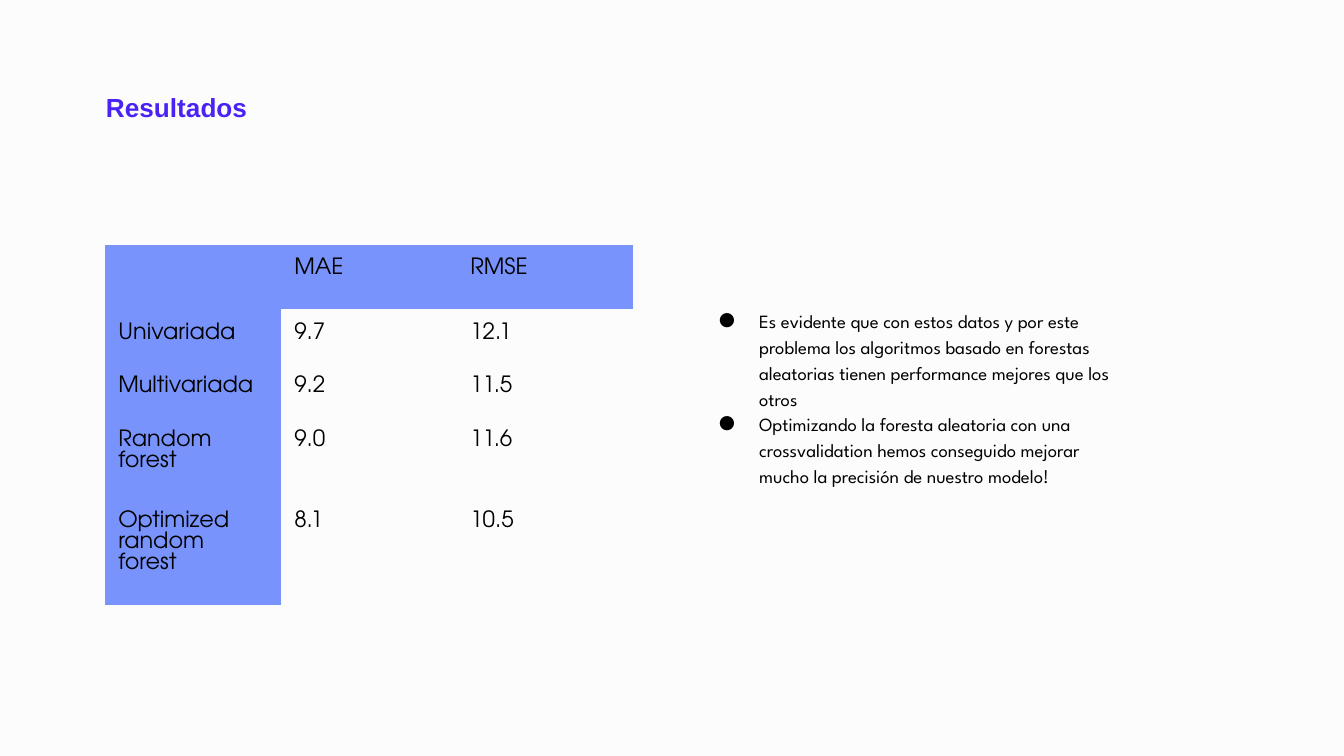
"""Build the results slide: a table of model errors beside two conclusions."""
from lxml.etree import SubElement
from pptx import Presentation
from pptx.dml.color import RGBColor as Color
from pptx.oxml.ns import qn
from pptx.util import Inches, Pt

PAPER = Color(0xFC, 0xFC, 0xFC)
VIOLET = Color(0x4B, 0x22, 0xF4)
PERIWINKLE = Color(0x79, 0x93, 0xFD)
BLACK = Color(0, 0, 0)
NO_STYLE = "{2D5ABB26-0587-4C30-8999-92F81FD0307C}"
INSET = Inches(0.1)

RESULTS = [
    ("", "MAE", "RMSE"),
    ("Univariada", "9.7", "12.1"),
    ("Multivariada", "9.2", "11.5"),
    ("Random forest", "9.0", "11.6"),
    ("Optimized random forest", "8.1", "10.5"),
]
CONCLUSIONS = [
    "Es evidente que con estos datos y por este problema los algoritmos basado en "
    "forestas aleatorias tienen performance mejores que los otros",
    "Optimizando la foresta aleatoria con una crossvalidation hemos conseguido "
    "mejorar mucho la precisión de nuestro modelo!",
]

deck = Presentation()
deck.slide_width = Inches(10)
deck.slide_height = deck.slide_width * 9 // 16
WIDTH, HEIGHT = deck.slide_width, deck.slide_height
page = deck.slides.add_slide(deck.slide_layouts[6])
page.background.fill.solid()
page.background.fill.fore_color.rgb = PAPER


def add_text_frame(left, top, width, height):
    box = page.shapes.add_textbox(
        int(left * WIDTH), int(top * HEIGHT), int(width * WIDTH), int(height * HEIGHT))
    frame = box.text_frame
    frame.word_wrap = True
    frame.margin_left = frame.margin_right = INSET
    frame.margin_top = frame.margin_bottom = INSET
    return frame


def add_span(para, text, name, size, color, bold=None):
    span = para.add_run()
    span.text = text
    span.font.name, span.font.size, span.font.bold = name, Pt(size), bold
    span.font.color.rgb = color


title = add_text_frame(0.069, 0.103, 0.738, 0.089).paragraphs[0]
add_span(title, "Resultados", "Arial", 14, VIOLET, bold=True)

column_width, row_height = int(0.131 * WIDTH), Inches(0.4)
table_frame = page.shapes.add_table(
    len(RESULTS), len(RESULTS[0]), Inches(0.78), Inches(1.82),
    column_width * len(RESULTS[0]), row_height * len(RESULTS))
table = table_frame.table
table.first_row = table.horz_banding = False
table._tbl.tblPr.find(qn("a:tableStyleId")).text = NO_STYLE
for column in table.columns:
    column.width = column_width
for row in table.rows:
    row.height = row_height
table.rows[0].height = Inches(0.48)
table_frame.width = table_frame.height = Inches(3.28)

for row_index, values in enumerate(RESULTS):
    for column_index, value in enumerate(values):
        cell = table.cell(row_index, column_index)
        cell.margin_left = cell.margin_right = INSET
        cell.margin_top = cell.margin_bottom = INSET
        if row_index == 0 or column_index == 0:
            cell.fill.solid()
            cell.fill.fore_color.rgb = PERIWINKLE
        else:
            cell.fill.background()
        para = cell.text_frame.paragraphs[0]
        if value:
            add_span(para, value, "TeX Gyre Adventor", 12, BLACK)
        else:
            para.font.size = Pt(12)

notes = add_text_frame(0.525, 0.388, 0.328, 0.205)
for index, conclusion in enumerate(CONCLUSIONS):
    para = notes.add_paragraph() if index else notes.paragraphs[0]
    layout = para._p.get_or_add_pPr()
    layout.set("marL", str(Inches(0.3)))
    layout.set("indent", str(Inches(-0.32)))
    bullet_color = SubElement(layout, qn("a:buClr"))
    SubElement(bullet_color, qn("a:srgbClr"), val=str(BLACK))
    SubElement(layout, qn("a:buSzPts"), val="1000")
    SubElement(layout, qn("a:buFont"), typeface="League Spartan")
    SubElement(layout, qn("a:buChar"), char="●")
    para.line_spacing = 1.15
    add_span(para, conclusion, "League Spartan", 10, BLACK)

deck.save("out.pptx")
